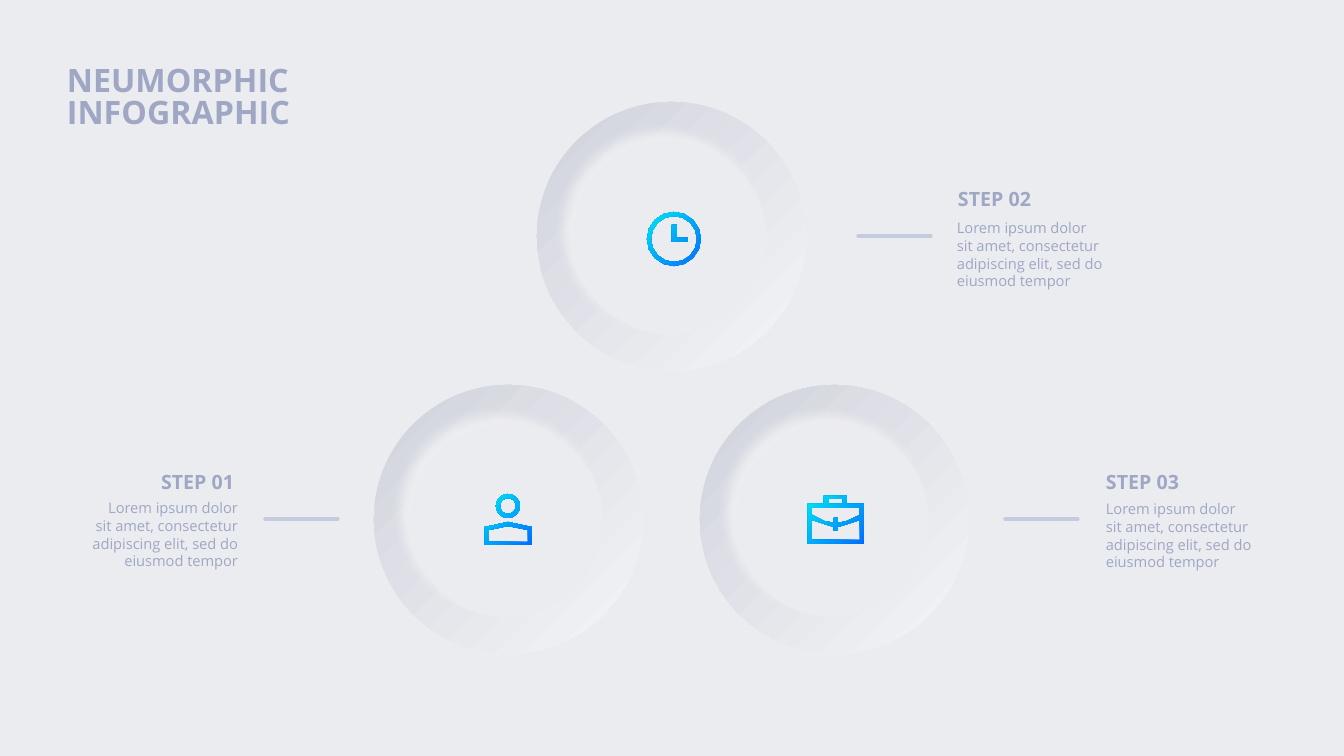
import math
from dataclasses import dataclass

from lxml import etree
from pptx import Presentation
from pptx import util as u
from pptx.dml.color import RGBColor
from pptx.enum import shapes, text
from pptx.oxml import ns

PX = 12192000 / 1344


@dataclass(frozen=True)
class Theme:
    font: str = "Open Sans"
    back: str = "EBECF0"
    ink: str = "9FA7C4"
    rule: str = "C5CADC"
    glow: str = "FFFFFF"
    rim: tuple = ("F4F5F7", "D0D2DC")
    icon: tuple = ("006EFF", "00E6F2")
    title: float = 23
    head: float = 14
    body: float = 10.5
    line: float = 2.38


T = Theme()
LOREM = "Lorem ipsum dolor sit amet, consectetur adipiscing elit, sed do eiusmod tempor"
LEFT, RIGHT = text.PP_ALIGN.LEFT, text.PP_ALIGN.RIGHT


def px(*nums):
    return [u.Emu(round(n * PX)) for n in nums]


def rgb(code):
    return RGBColor.from_string(code)


def ring(x, y, r, count=16):
    turns = [2 * math.pi * i / count for i in range(count)]
    return [(x + r * math.cos(a), y + r * math.sin(a)) for a in turns]


# Icon outlines, measured from the dish centre; inner loops cut holes
USER = [
    [(24, 7), (0, 2), (-23, 7), (-23, 25), (24, 25)],
    [(20, 22), (-19, 22), (-19, 10), (0, 6), (20, 10)],
    ring(0, -14, 12),
    ring(0, -14, 8),
]
CLOCK = [
    ring(3, 2, 27),
    ring(3, 2, 23),
    [(17, 5), (1, 5), (1, -12), (6, -12), (6, 1), (17, 1)],
]
CASE = [
    [(30, -16), (13, -16), (13, -24), (-10, -24), (-10, -16), (-26, -16),
     (-26, 24), (30, 24)],
    [(-5, -21), (9, -21), (9, -16), (-5, -16)],
    [(-22, -12), (26, -12), (26, -5), (13, 1), (4, 3), (4, -2), (0, -2),
     (0, 3), (-10, 1), (-22, -5)],
    [(-22, 20), (-22, 0), (-10, 4), (0, 7), (0, 11), (4, 11), (4, 7),
     (14, 4), (26, 0), (26, 20)],
]


def blend(shape, tones):
    """Fill from the bottom right to the top left, without an outline."""
    shape.shadow.inherit = False
    shape.line.fill.background()
    shape.fill.gradient()
    shape.fill.gradient_angle = 135
    for stop, tone in zip(shape.fill.gradient_stops, tones):
        stop.color.rgb = rgb(tone)


def label(host, box, words, size, bold=True, align=LEFT):
    frame = host.shapes.add_textbox(*px(*box)).text_frame
    frame.text = words
    frame.word_wrap = not bold
    if bold:
        frame.margin_left = frame.margin_right = 0
        frame.margin_top = frame.margin_bottom = 0
    else:
        frame.vertical_anchor = text.MSO_ANCHOR.MIDDLE
    para = frame.paragraphs[0]
    para.alignment = align
    font = para.runs[0].font
    font.name, font.size, font.bold = T.font, u.Pt(size), bold
    font.color.rgb = rgb(T.ink)


def rule(slide, x, y, w):
    line = slide.shapes.add_connector(
        shapes.MSO_CONNECTOR.STRAIGHT, *px(x, y, x + w, y))
    line.line.color.rgb = rgb(T.rule)
    line.line.width = u.Pt(T.line)
    props = line._element.spPr
    props.find(ns.qn("a:ln")).set("cap", "rnd")
    etree.SubElement(props, ns.qn("a:effectLst"))


def glow(shape):
    shape.shadow.inherit = False
    effects = shape._element.spPr.find(ns.qn("a:effectLst"))
    cast = etree.SubElement(
        effects, ns.qn("a:outerShdw"), blurRad="114300", dist="114300",
        dir="13500000", algn="ctr", rotWithShape="0")
    tone = etree.SubElement(cast, ns.qn("a:srgbClr"), val=T.glow)
    etree.SubElement(tone, ns.qn("a:alpha"), val="56000")


def dish(slide, x, y):
    oval = shapes.MSO_SHAPE.OVAL
    group = slide.shapes.add_group_shape()
    blend(group.shapes.add_shape(oval, *px(x, y, 269, 269)), T.rim)
    well = group.shapes.add_shape(oval, *px(x + 36, y + 39, 193, 193))
    well.fill.solid()
    well.fill.fore_color.rgb = rgb(T.back)
    well.line.fill.background()
    glow(well)


def icon(slide, x, y, loops):
    pen = None
    for loop in loops:
        first, *rest = [px(x + dx, y + dy) for dx, dy in loop]
        if pen is None:
            pen = slide.shapes.build_freeform(*first, scale=1.0)
        else:
            pen.move_to(*first)
        pen.add_line_segments(rest, close=True)
    blend(pen.convert_to_shape(), T.icon)


def step(slide, x, y, name, loops, bar, head, body, align):
    """One step; bar, head and body are offsets from the dish's box."""
    dx, dy = body
    dish(slide, x, y)
    icon(slide, x + 134, y + 135, loops)
    rule(slide, x + bar, y + 134, 73)
    label(slide, (x + head, y + 85, 74, 24), name, T.head)
    label(slide, (x + dx, y + dy, 168, 121), LOREM, T.body, False, align)


def title(slide, x, y):
    group = slide.shapes.add_group_shape()
    for row, word in enumerate(("NEUMORPHIC", "INFOGRAPHIC")):
        label(group, (x, y + 32 * row, 224, 39), word, T.title)


def main():
    deck = Presentation()
    deck.slide_width, deck.slide_height = px(1344, 756)
    slide = deck.slides.add_slide(deck.slide_layouts[6])
    slide.background.fill.solid()
    slide.background.fill.fore_color.rgb = rgb(T.back)

    title(slide, 67, 60)
    step(slide, 374, 385, "STEP 01", USER, -109, -213, (-294, 89), RIGHT)
    step(slide, 537, 102, "STEP 02", CLOCK, 321, 421, (410, 92), LEFT)
    step(slide, 700, 385, "STEP 03", CASE, 305, 406, (396, 90), LEFT)
    deck.save("out.pptx")


if __name__ == "__main__":
    main()
